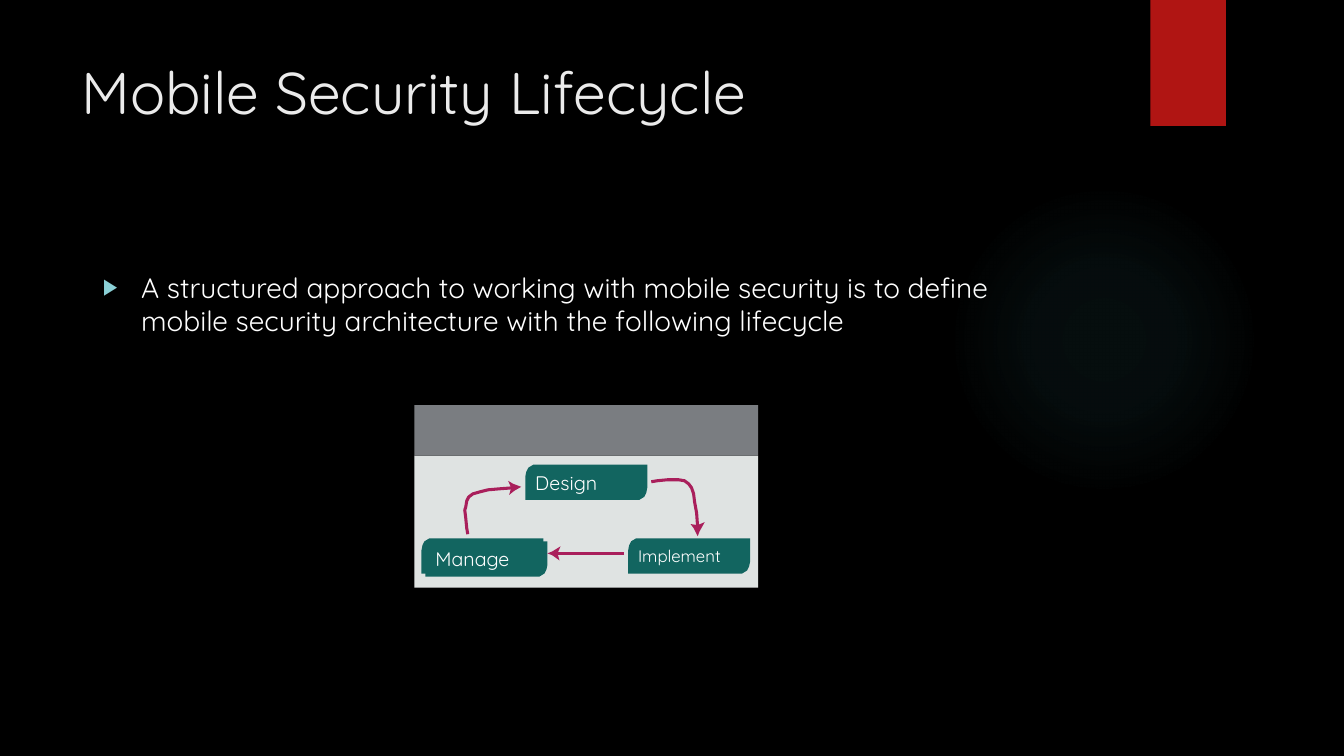
from lxml import etree
from pptx import Presentation
from pptx.dml.color import RGBColor
from pptx.enum.shapes import MSO_SHAPE as Preset
from pptx.enum.text import MSO_ANCHOR as Anchor, MSO_AUTO_SIZE as AutoSize, PP_ALIGN as Align
from pptx.oxml import parse_xml
from pptx.oxml.ns import nsdecls, qn
from pptx.util import Inches, Pt

FONT = "Quicksand"
TITLE = "Mobile Security Lifecycle"
BODY = ("A structured approach to working with mobile security is to define "
        "mobile security architecture with the following lifecycle")
BLACK, WHITE, TITLE_GREY = "000000", "FFFFFF", "EBEBEB"
RED, GLOW, BULLET = "B01513", "50B9C1", "8AD0D6"
PANEL, HEADER, TEAL, MAGENTA = "DFE3E2", "7A7D81", "126560", "A91F5B"

GLOW_STOPS = [(0, 7), (36, 6), (69, 0), (100, 0)]
PANELS = [(4.11, 4.52, 3.41, 1.31, PANEL), (4.11, 4.02, 3.41, 0.5, HEADER)]
TAG_OUTLINE = [(1.21, 0), (0.08, 0), (0.03, 0.03), (0.01, 0.07), (0, 0.12), (0, 0.35),
               (1.13, 0.35), (1.18, 0.32), (1.2, 0.28), (1.21, 0.23)]
TAGS = [(5.21, 4.61, "Design", 14), (4.18, 5.34, "", 14),
        (6.23, 5.34, "Implement", 12), (4.22, 5.37, "Manage", 14)]
ARROWS = [
    ([(4.64, 5.3), (4.63, 5.24), (4.62, 5.14), (4.61, 5.06), (4.62, 5.03), (4.63, 4.97),
      (4.65, 4.93), (4.69, 4.9), (4.76, 4.88), (4.84, 4.86), (4.95, 4.85), (5.08, 4.84)],
     [(5.04, 4.77), (5.07, 4.84), (5.05, 4.91), (5.1, 4.87), (5.17, 4.83), (5.09, 4.8)]),
    ([(6.46, 4.78), (6.52, 4.77), (6.62, 4.76), (6.73, 4.76), (6.79, 4.77), (6.83, 4.8),
      (6.86, 4.84), (6.88, 4.9), (6.89, 4.98), (6.91, 5.09), (6.92, 5.23)],
     [(6.85, 5.2), (6.88, 5.24), (6.92, 5.32), (6.94, 5.27), (6.99, 5.18), (6.92, 5.21)]),
    ([(6.19, 5.49), (5.52, 5.49)],
     [(5.56, 5.42), (5.48, 5.47), (5.43, 5.49), (5.48, 5.51), (5.55, 5.56), (5.53, 5.49)]),
]


def rgb(color):
    return RGBColor.from_string(color)


def paint(shape, fill=None, line=None):
    shape.shadow.inherit = False
    if fill:
        shape.fill.solid()
        shape.fill.fore_color.rgb = rgb(fill)
    else:
        shape.fill.background()
    if line:
        shape.line.color.rgb = rgb(line)
        shape.line.width = Pt(2.17)
    else:
        shape.line.fill.background()


def add_block(page, preset, left, top, width, height, fill=None):
    shape = page.shapes.add_shape(preset, *map(Inches, (left, top, width, height)))
    paint(shape, fill)
    return shape


def add_outline(page, points, fill=None, line=None):
    corners = [(Inches(x), Inches(y)) for x, y in points]
    builder = page.shapes.build_freeform(*corners[0], scale=1.0)
    builder.add_line_segments(corners[1:], close=bool(fill))
    shape = builder.convert_to_shape()
    paint(shape, fill, line)
    return shape


def write(box, text, size, color, anchor=Anchor.TOP):
    frame = box.text_frame
    frame.text = text
    frame.word_wrap = True
    frame.auto_size = AutoSize.NONE
    frame.vertical_anchor = anchor
    para = frame.paragraphs[0]
    para.alignment = Align.LEFT
    for span in para.runs:
        span.font.name = FONT
        span.font.size = Pt(size)
        span.font.color.rgb = rgb(color)
    return para


def place(box, left, top, width, height):
    box.left, box.top, box.width, box.height = map(Inches, (left, top, width, height))


def add_glow(page):
    glow = add_block(page, Preset.OVAL, 9.41, 1.83, 3.08, 3.08)
    stops = "".join(
        f'<a:gs pos="{pos * 1000}"><a:srgbClr val="{GLOW}">'
        f'<a:alpha val="{alpha * 1000}"/></a:srgbClr></a:gs>' for pos, alpha in GLOW_STOPS)
    gradient = parse_xml(
        f'<a:gradFill {nsdecls("a")}><a:gsLst>{stops}</a:gsLst><a:path path="circle">'
        '<a:fillToRect l="50000" t="50000" r="50000" b="50000"/></a:path></a:gradFill>')
    properties = glow.element.spPr
    properties.replace(properties.find(qn("a:noFill")), gradient)


def add_bullet(para):
    para.space_before = Pt(10)
    properties = para._p.get_or_add_pPr()
    properties.set("marL", str(Inches(0.38)))
    properties.set("indent", str(-Inches(0.38)))
    color = etree.SubElement(properties, qn("a:buClr"))
    etree.SubElement(color, qn("a:srgbClr"), val=BULLET)
    etree.SubElement(properties, qn("a:buSzPct"), val="80000")
    etree.SubElement(properties, qn("a:buChar"), char="▶")


def main():
    deck = Presentation()
    deck.slide_width, deck.slide_height = Inches(13.33), Inches(7.5)
    page = deck.slides.add_slide(deck.slide_layouts[1])
    page.background.fill.solid()
    page.background.fill.fore_color.rgb = rgb(BLACK)

    title, body = page.shapes.title, page.placeholders[1]
    place(title, 0.71, 0.5, 10.29, 1.53)
    write(title, TITLE, 42, TITLE_GREY)
    place(body, 0.92, 2.63, 9.78, 4.59)
    add_bullet(write(body, BODY, 20, WHITE))

    add_glow(page)
    add_block(page, Preset.RECTANGLE, 11.41, 0, 0.75, 1.25, RED)

    for panel in PANELS:
        add_block(page, Preset.RECTANGLE, *panel)
    for left, top, label, size in TAGS:
        tag = add_outline(page, [(left + x, top + y) for x, y in TAG_OUTLINE], TEAL)
        if label:
            write(tag, label, size, WHITE, Anchor.MIDDLE)
    for shaft, head in ARROWS:
        add_outline(page, shaft, line=MAGENTA)
        add_outline(page, head, fill=MAGENTA)

    deck.save("out.pptx")


if __name__ == "__main__":
    main()
